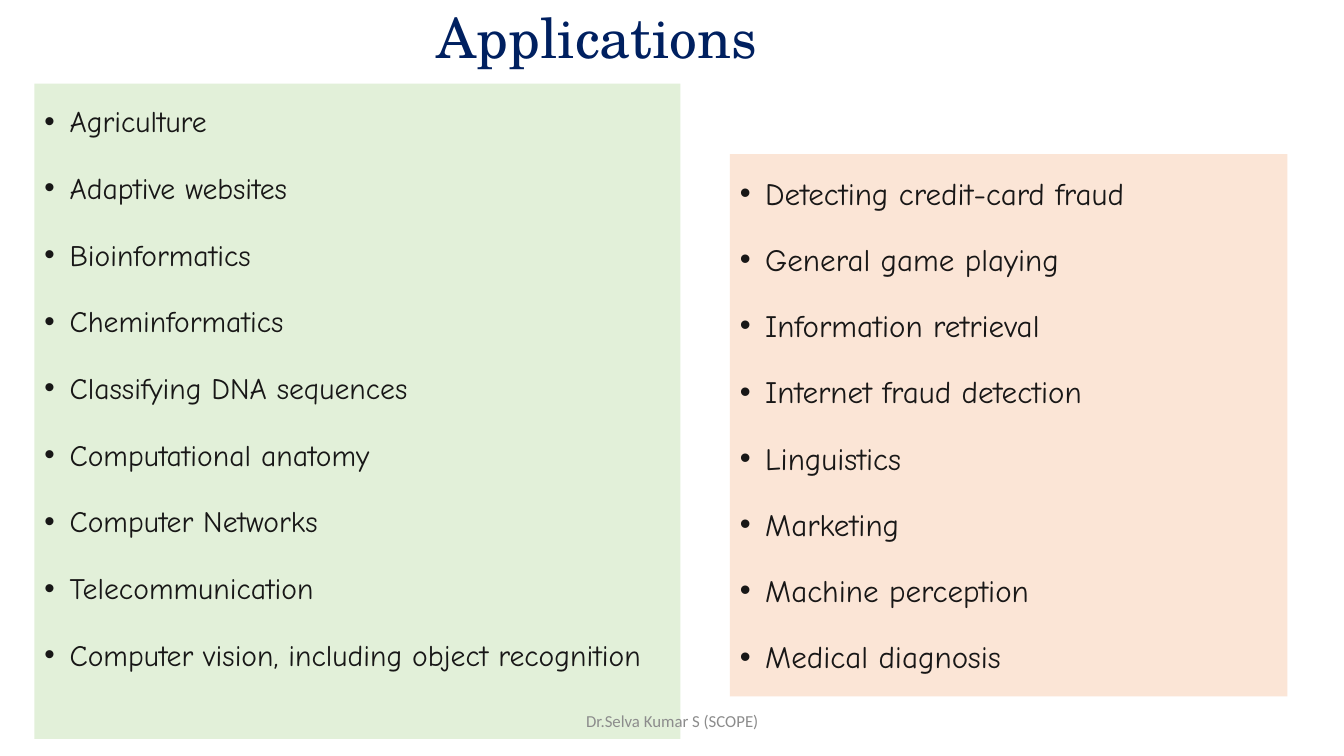
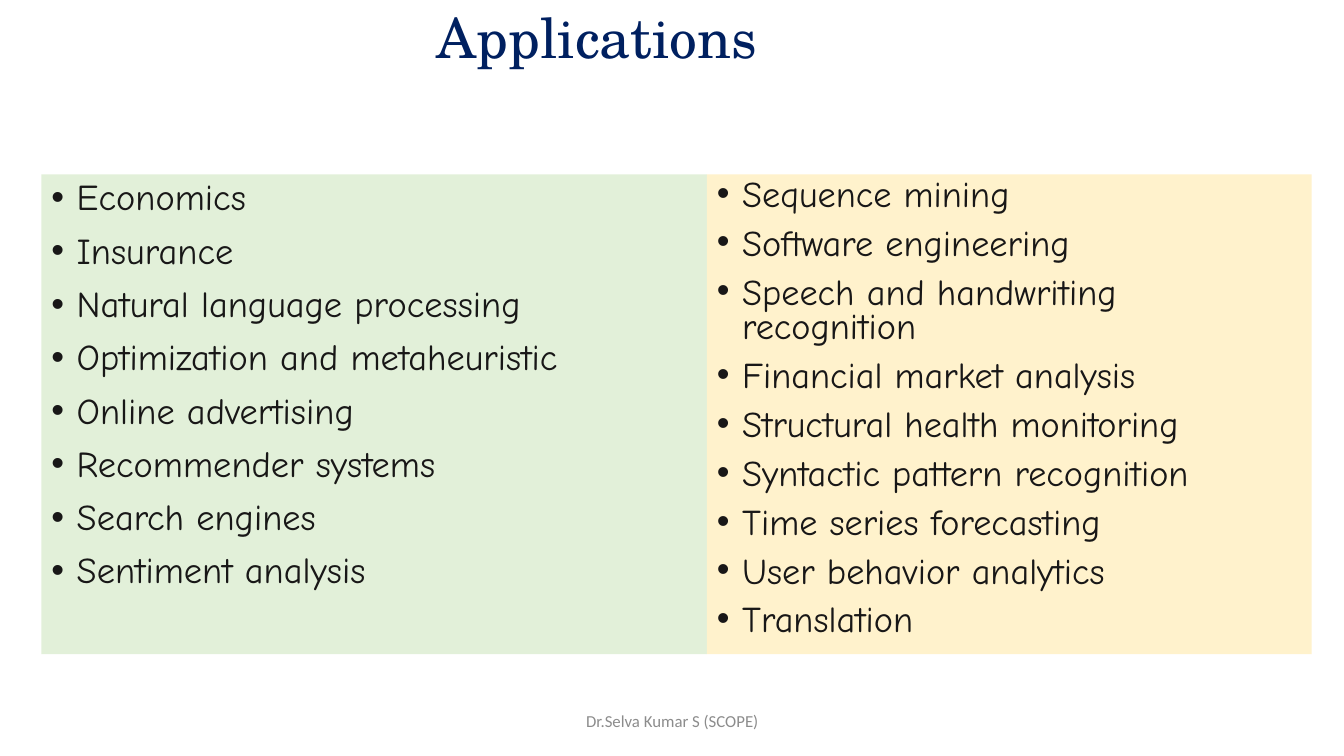
from dataclasses import dataclass

from lxml import etree
from pptx import Presentation
from pptx.dml.color import RGBColor
from pptx.enum.text import MSO_ANCHOR, MSO_AUTO_SIZE, PP_ALIGN
from pptx.oxml.ns import qn
from pptx.util import Inches, Pt

CENTER, LEFT, JUSTIFY = PP_ALIGN.CENTER, PP_ALIGN.LEFT, PP_ALIGN.JUSTIFY
MIDDLE, TOP = MSO_ANCHOR.MIDDLE, MSO_ANCHOR.TOP
NO_AUTOFIT = MSO_AUTO_SIZE.NONE

SLIDE_WIDTH, SLIDE_HEIGHT = Inches(13.33), Inches(7.5)
TWO_CONTENT_LAYOUT = 3
BULLET_INDENT = Inches(0.25)

TITLE_FONT, LIST_FONT, FOOTER_FONT = "TeX Gyre Schola", "Comic Neue", "Calibri"
NAVY, INK, GRAY = "002060", "181717", "8C8C8C"
GREEN, PEACH, CREAM = "E2F0D9", "FBE5D6", "FFF2CC"

TITLE = "Applications"
FOOTER = "Dr.Selva Kumar S (SCOPE)"
TITLE_AREA = (1.28, 0.27, 86.25, 10.13)
FOOTER_AREA = (33.15, 92.67, 33.75, 5.33)


@dataclass
class Panel:
    """A filled list; its area is left, top, width, height in percent of the slide."""
    area: tuple
    fill: str
    size: float
    line_spacing: float
    items: list
    before: float = 10
    after: float = 0
    align: int = LEFT


SLIDES = [
    (
        Panel((2.55, 11.07, 48.08, 86.67), GREEN, 21.2, 1.4, [
            "Agriculture",
            "Adaptive websites",
            "Bioinformatics",
            "Cheminformatics",
            "Classifying DNA sequences",
            "Computational anatomy",
            "Computer Networks",
            "Telecommunication",
            "Computer vision, including object recognition",
        ], before=6, after=6, align=JUSTIFY),
        Panel((54.31, 20.4, 41.48, 71.73), PEACH, 22.2, 1.4, [
            "Detecting credit-card fraud",
            "General game playing",
            "Information retrieval",
            "Internet fraud detection",
            "Linguistics",
            "Marketing",
            "Machine perception",
            "Medical diagnosis",
        ]),
    ),
    (
        Panel((3.08, 23.07, 49.51, 63.47), GREEN, 26, 0.9, [
            "Economics",
            "Insurance",
            "Natural language processing",
            "Optimization and metaheuristic",
            "Online advertising",
            "Recommender systems",
            "Search engines",
            "Sentiment analysis",
        ]),
        Panel((52.59, 23.07, 45.01, 63.47), CREAM, 25.9, 0.8, [
            "Sequence mining",
            "Software engineering",
            "Speech and handwriting recognition",
            "Financial market analysis",
            "Structural health monitoring",
            "Syntactic pattern recognition",
            "Time series forecasting",
            "User behavior analytics",
            "Translation",
        ]),
    ),
]


def color(hex_code):
    """Turn a hex string into a colour."""
    return RGBColor.from_string(hex_code)


def to_lengths(area):
    """Turn percentages of the slide into left, top, width and height."""
    sides = (SLIDE_WIDTH, SLIDE_HEIGHT) * 2
    return [round(side * share / 100) for side, share in zip(sides, area)]


def place(box, area):
    """Move a box to its area."""
    box.left, box.top, box.width, box.height = to_lengths(area)


def set_frame(box, anchor):
    """Give a box wrapped text of fixed size and return its text frame."""
    frame = box.text_frame
    frame.word_wrap = True
    frame.auto_size = NO_AUTOFIT
    frame.vertical_anchor = anchor
    return frame


def style_font(para, name, size, hex_code):
    """Set the font of a whole paragraph."""
    para.font.name = name
    para.font.size = Pt(size)
    para.font.color.rgb = color(hex_code)


def add_bullet(para):
    """Give a paragraph a hanging bullet."""
    properties = para._p.get_or_add_pPr()
    properties.set("marL", str(BULLET_INDENT))
    properties.set("indent", str(-BULLET_INDENT))
    etree.SubElement(properties, qn("a:buChar"), char="•")


def write_line(box, text, font, size, hex_code):
    """Write one centred line in the middle of a box."""
    para = set_frame(box, MIDDLE).paragraphs[0]
    para.text = text
    para.alignment = CENTER
    style_font(para, font, size, hex_code)
    return para


def fill_panel(box, panel):
    """Turn a body placeholder into a filled bullet list."""
    place(box, panel.area)
    box.fill.solid()
    box.fill.fore_color.rgb = color(panel.fill)
    frame = set_frame(box, TOP)
    for index, item in enumerate(panel.items):
        para = frame.add_paragraph() if index else frame.paragraphs[0]
        para.text = item
        para.alignment = panel.align
        para.line_spacing = panel.line_spacing
        para.space_before = Pt(panel.before if index else 0)
        para.space_after = Pt(panel.after)
        add_bullet(para)
        style_font(para, LIST_FONT, panel.size, INK)


def add_page(deck, panels):
    """Add a slide with the shared title and footer and two lists."""
    page = deck.slides.add_slide(deck.slide_layouts[TWO_CONTENT_LAYOUT])
    title, *bodies = page.placeholders
    place(title, TITLE_AREA)
    write_line(title, TITLE, TITLE_FONT, 39.6, NAVY).line_spacing = 0.9
    for body, panel in zip(bodies, panels):
        fill_panel(body, panel)
    footer = page.shapes.add_textbox(*to_lengths(FOOTER_AREA))
    write_line(footer, FOOTER, FOOTER_FONT, 12, GRAY)


def main():
    """Build the deck and save it."""
    deck = Presentation()
    deck.slide_width, deck.slide_height = SLIDE_WIDTH, SLIDE_HEIGHT
    for panels in SLIDES:
        add_page(deck, panels)
    deck.save("out.pptx")


if __name__ == "__main__":
    main()
